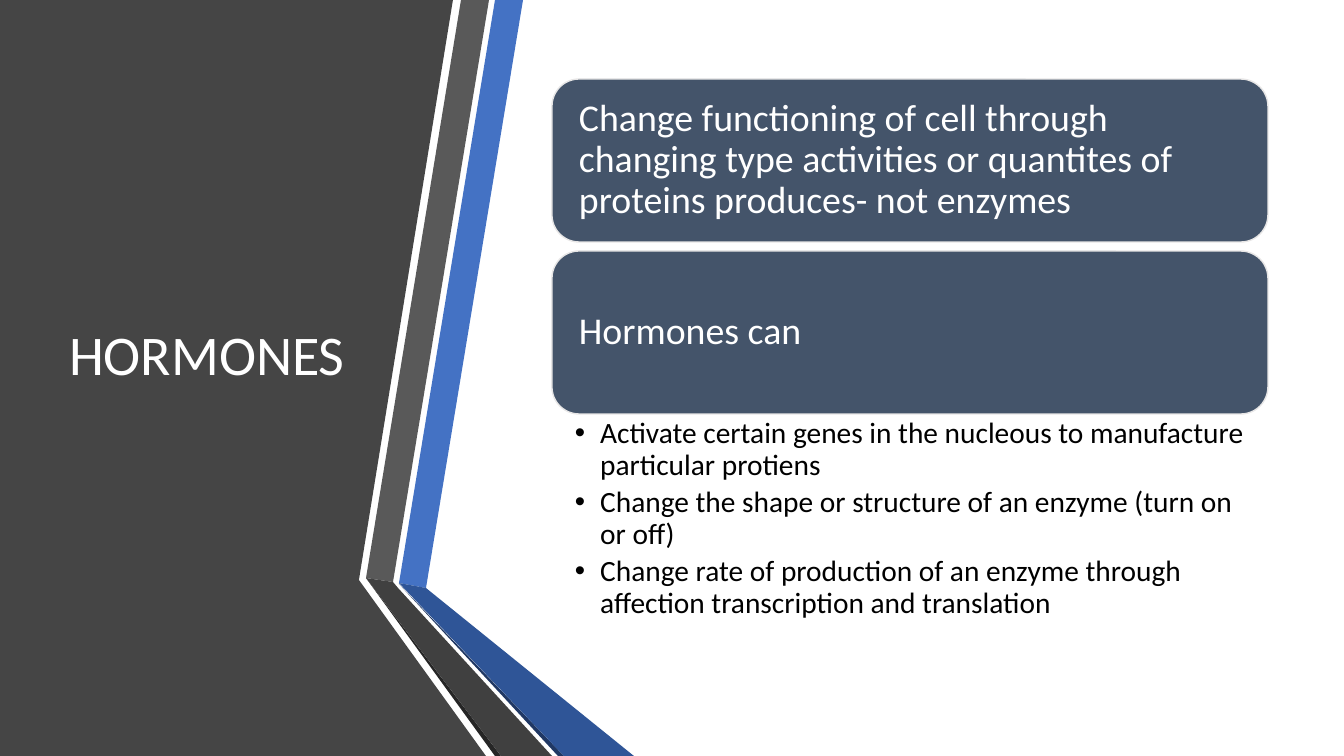
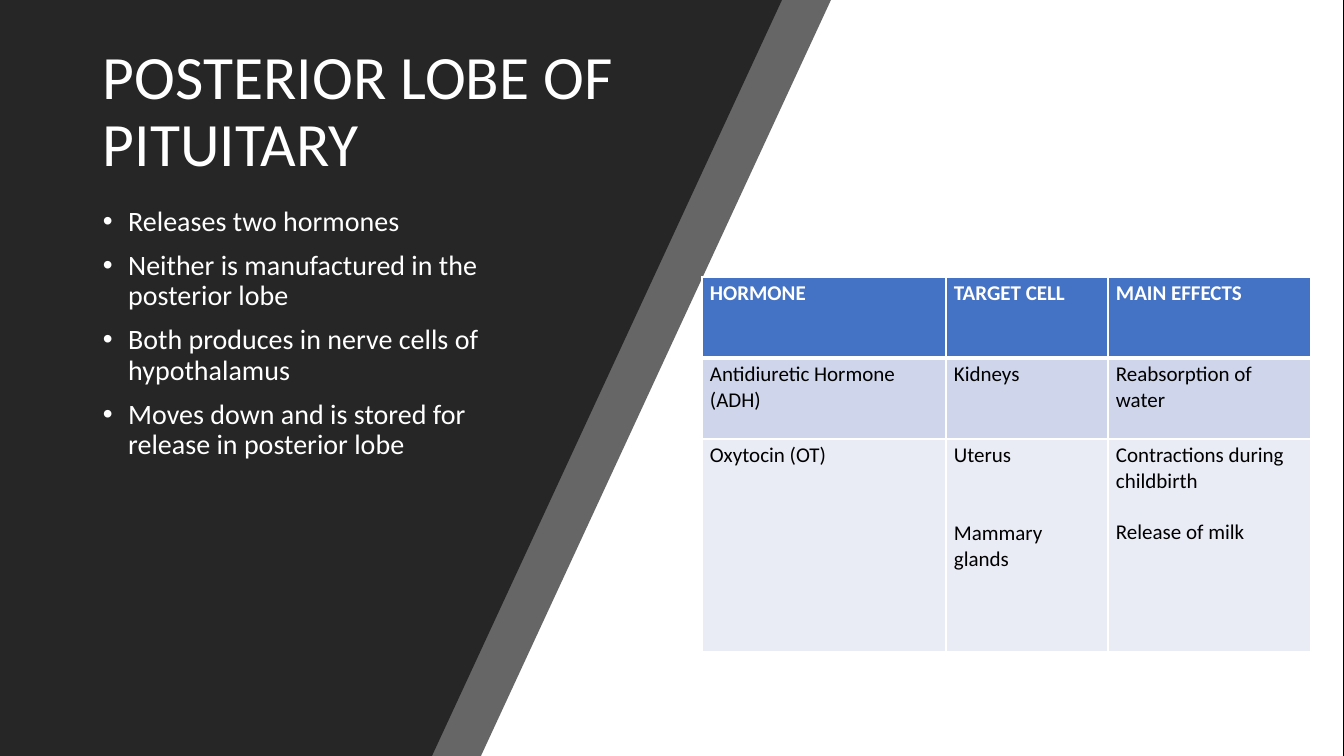
import pptx
import pptx.dml.color
import pptx.enum.shapes
import pptx.enum.text
import pptx.oxml
import pptx.oxml.ns
import pptx.util
from lxml import etree

PX = 12192000 / 1344  # EMU in one px
MIDDLE = pptx.enum.text.MSO_ANCHOR.MIDDLE
TOP = pptx.enum.text.MSO_ANCHOR.TOP
SHAPES = pptx.enum.shapes.MSO_SHAPE
qn = pptx.oxml.ns.qn


class Theme:
    font = "Calibri"
    white, black = "FFFFFF", "000000"
    charcoal, ink = "454545", "262626"
    gray, dark_gray = "595959", "404040"
    blue, deep_blue, navy = "4472C4", "2F5597", "203864"
    slate, pale = "44546A", "E7E6E6"
    bands = ["4472C4", "CFD5EA", "E9EBF5"]
    title_small, title_large = 40, 44
    card, card_bullet, bullet, cell = 27, 21, 20, 15


def paint(sp, color, line=None):
    """Fill a shape, or every outline point list given as (slide, points)."""
    if isinstance(sp, tuple):
        s, points = sp
        builder = s.shapes.build_freeform(*points[0], scale=PX)
        builder.add_line_segments(points[1:], close=True)
        sp = builder.convert_to_shape()
    sp.shadow.inherit = False
    sp.fill.solid()
    sp.fill.fore_color.rgb = pptx.dml.color.RGBColor.from_string(color)
    if line:
        sp.line.color.rgb = pptx.dml.color.RGBColor.from_string(line)
        sp.line.width = pptx.util.Pt(1)
    else:
        sp.line.fill.background()
    return sp


def write(tf, lines, size, color, anchor=TOP, insets=(10, 5, 10, 5),
          bullet=False, before=0, after=0, spacing=0.9, bold=False):
    """Write paragraphs; before may be one gap or a list of gaps in points."""
    tf.word_wrap = True
    tf.vertical_anchor = anchor
    tf.margin_left, tf.margin_top, tf.margin_right, tf.margin_bottom = [
        round(i * PX) for i in insets]
    for i, line in enumerate(lines):
        p = tf.paragraphs[0] if i == 0 else tf.add_paragraph()
        p.text = line
        p.alignment = pptx.enum.text.PP_ALIGN.LEFT
        p.line_spacing = spacing
        p.space_before = pptx.util.Pt(before if i else 0)
        p.space_after = pptx.util.Pt(after)
        if bullet:
            pPr = p._p.get_or_add_pPr()
            pPr.set("marL", "228600")
            pPr.set("indent", "-228600")
            etree.SubElement(pPr, qn("a:buFont")).set("typeface", "Arial")
            etree.SubElement(pPr, qn("a:buChar")).set("char", "•")
        for r in p.runs:
            r.font.name = Theme.font
            r.font.size = pptx.util.Pt(size)
            r.font.bold = bold
            r.font.color.rgb = pptx.dml.color.RGBColor.from_string(color)


prs = pptx.Presentation()
prs.slide_width = round(1344 * PX)
prs.slide_height = round(756 * PX)
blank = prs.slide_layouts[6]

# Slide 1: folded ribbons beside the title
s = prs.slides.add_slide(blank)
ribbons = [
    (Theme.charcoal, [(0, 0), (453, 0), (359, 580), (486, 756), (0, 756)]),
    (Theme.blue, [(399, 583), (426, 588), (523, 0), (495, 0)]),
    (Theme.gray, [(489, 0), (461, 0), (366, 578), (393, 582)]),
    (Theme.ink, [(366, 578), (495, 756), (501, 756)]),
    (Theme.navy, [(399, 584), (558, 756), (564, 756)]),
    (Theme.deep_blue, [(399, 583), (564, 756), (634, 756), (426, 588)]),
    (Theme.dark_gray, [(552, 756), (398, 588), (393, 582), (366, 578), (501, 756)]),
]
for color, points in ribbons:
    paint((s, points), color)

title = s.shapes.add_textbox(*[round(v * PX) for v in (59, 76, 306, 562)])
write(title.text_frame, ["HORMONES"], Theme.title_small, Theme.white, MIDDLE)

# Cards
cards = [
    "Change functioning of cell through changing type activities or quantites "
    "of proteins produces- not enzymes",
    "Hormones can",
]
for i, text in enumerate(cards):
    box = [round(v * PX) for v in (552, 79 + 172 * i, 716, 163)]
    card = paint(s.shapes.add_shape(SHAPES.ROUNDED_RECTANGLE, *box),
                 Theme.slate, Theme.pale)
    write(card.text_frame, [text], Theme.card, Theme.white, MIDDLE,
          (19, 11, 19, 11))

# Points below the cards
body = s.shapes.add_textbox(*[round(v * PX) for v in (552, 414, 716, 222)])
write(body.text_frame, [
    "Activate certain genes in the nucleous to manufacture particular protiens",
    "Change the shape or structure of an enzyme (turn on or off)",
    "Change rate of production of an enzyme through affection transcription "
    "and translation",
], Theme.card_bullet, Theme.black, insets=(23, 4, 21, 4), bullet=True, after=4)

# Slide 2: slanted panel on white
s = prs.slides.add_slide(blank)
s.background.fill.solid()
s.background.fill.fore_color.rgb = pptx.dml.color.RGBColor.from_string(Theme.black)
box = [round(v * PX) for v in (0, 0, 1343, 756)]
paint(s.shapes.add_shape(SHAPES.RECTANGLE, *box), Theme.white)
for top, bottom, opacity in [(831, 481, 70), (782, 432, 100)]:
    panel = paint((s, [(top, 0), (0, 0), (0, 756), (bottom, 756)]), Theme.ink)
    if opacity < 100:
        color = panel._element.spPr.find(qn("a:solidFill"))[0]
        etree.SubElement(color, qn("a:alpha")).set("val", str(opacity * 1000))

title = s.shapes.add_textbox(*[round(v * PX) for v in (93, 40, 610, 146)])
write(title.text_frame, ["POSTERIOR LOBE OF PITUITARY"], Theme.title_large,
      Theme.white, MIDDLE)

body = s.shapes.add_textbox(*[round(v * PX) for v in (93, 202, 455, 375)])
write(body.text_frame, [
    "Releases two hormones",
    "Neither is manufactured in the posterior lobe",
    "Both produces in nerve cells of hypothalamus",
    "Moves down and is stored for release in posterior lobe",
], Theme.bullet, Theme.white, bullet=True, before=10)

# Hormone table
rows = [
    [["HORMONE"], ["TARGET CELL"], ["MAIN EFFECTS"]],
    [["Antidiuretic Hormone (ADH)"], ["Kidneys"], ["Reabsorption of water"]],
    [["Oxytocin (OT)"], ["Uterus", "Mammary glands"],
     ["Contractions during childbirth", "Release of milk"]],
]
widths, heights = [244, 162, 203], [81, 81, 213]
gaps = [0, 37, 18]  # points between the paragraphs of a cell, by column
box = [round(v * PX) for v in (702, 277, sum(widths), sum(heights))]
table = s.shapes.add_table(len(rows), len(widths), *box).table
for column, width in zip(table.columns, widths):
    column.width = round(width * PX)
for i, row in enumerate(rows):
    table.rows[i].height = round(heights[i] * PX)
    for j, lines in enumerate(row):
        cell = table.cell(i, j)
        tcPr = cell._tc.get_or_add_tcPr()
        for side in "LRTB":
            thick = (i, side) in [(0, "B"), (1, "T")]
            ln = etree.SubElement(tcPr, qn("a:ln" + side))
            ln.set("w", str(pptx.util.Pt(3 if thick else 1)))
            fill = etree.SubElement(ln, qn("a:solidFill"))
            etree.SubElement(fill, qn("a:srgbClr")).set("val", Theme.white)
        cell.fill.solid()
        cell.fill.fore_color.rgb = pptx.dml.color.RGBColor.from_string(Theme.bands[i])
        write(cell.text_frame, lines, Theme.cell,
              Theme.black if i else Theme.white, before=gaps[j], spacing=1.0,
              bold=i == 0)
        cell.margin_left = cell.margin_right = round(8 * PX)
        cell.margin_top = cell.margin_bottom = round(4 * PX)

prs.save("out.pptx")
